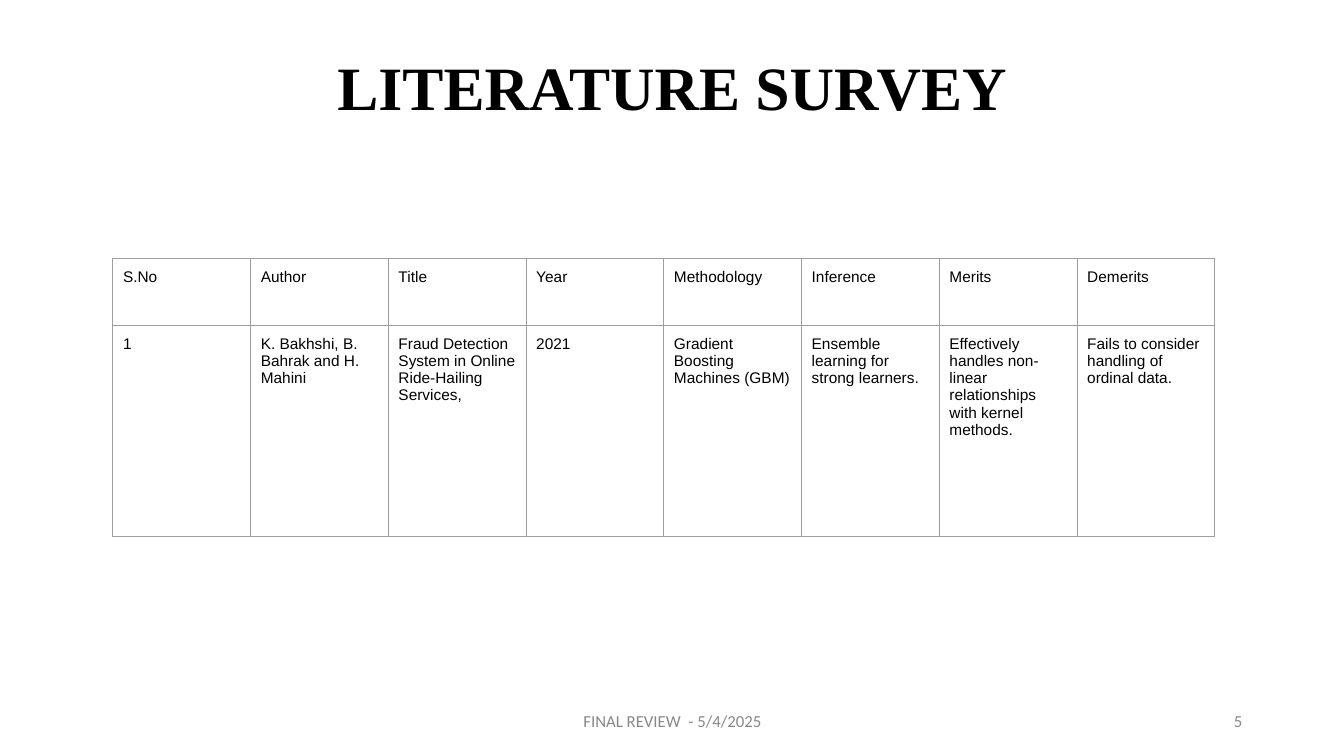
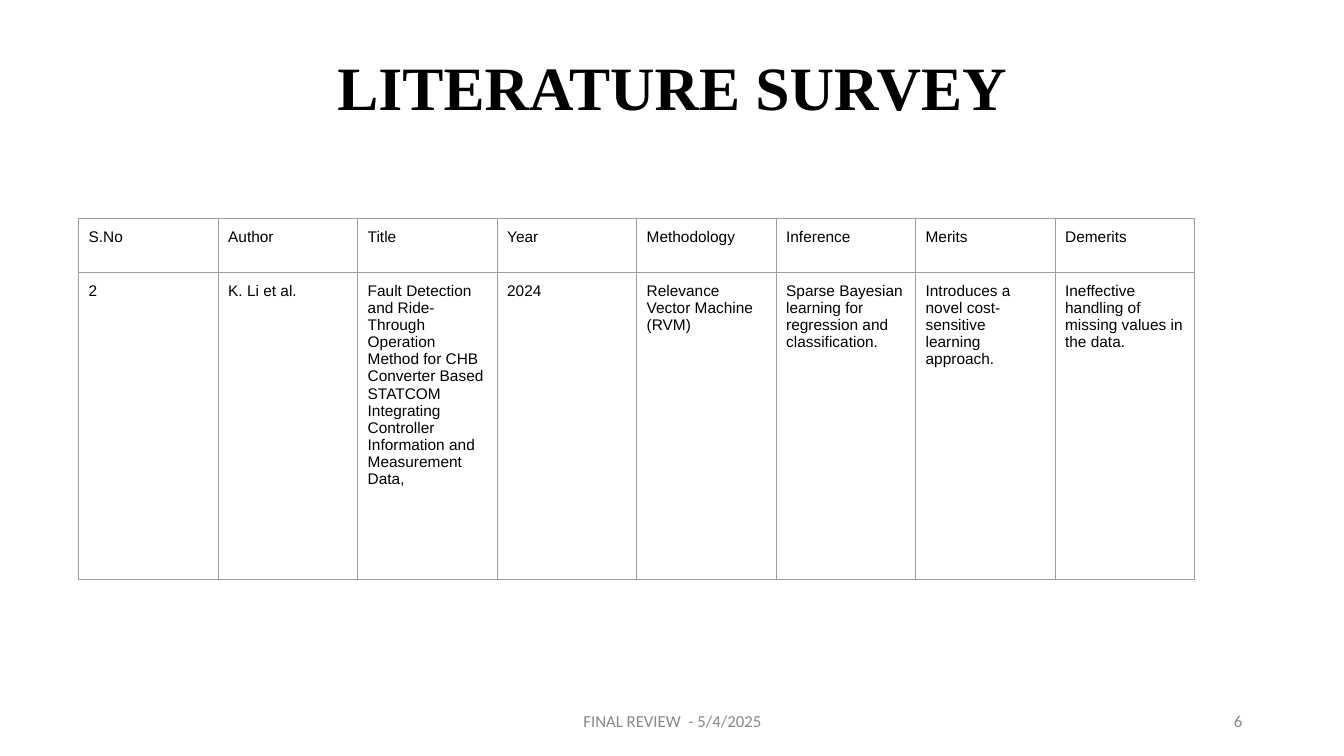
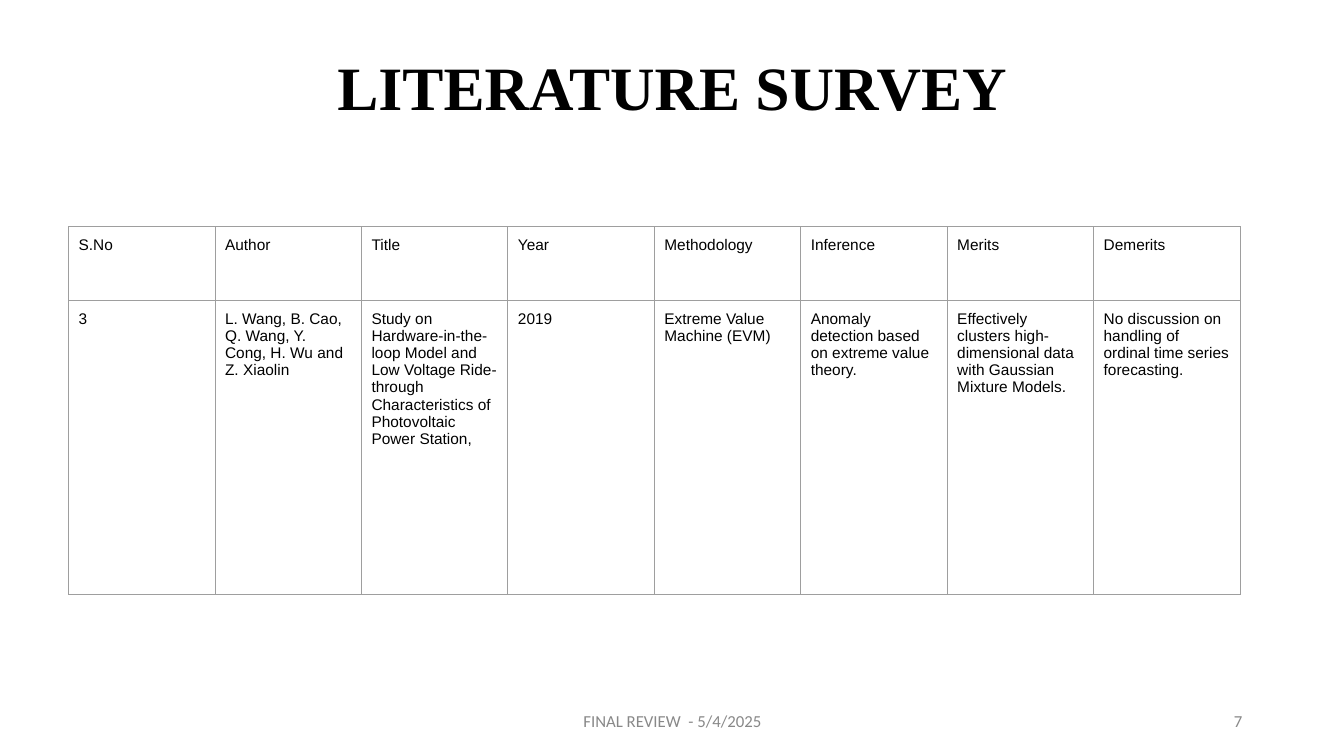
from dataclasses import dataclass

from lxml.etree import SubElement
from pptx import Presentation
from pptx.dml.color import RGBColor
from pptx.enum.text import MSO_ANCHOR, MSO_AUTO_SIZE, PP_ALIGN
from pptx.oxml.ns import qn
from pptx.util import Inches, Pt

# Content
TITLE = "LITERATURE SURVEY"
FOOTER = "FINAL REVIEW  - 5/4/2025"
FIRST_NUMBER = 5
HEADERS = ("S.No", "Author", "Title", "Year", "Methodology", "Inference",
           "Merits", "Demerits")

# One paper per slide; box is left, top, width; heights are header and body rows
PAPERS = [
    {"box": (1.12, 2.56, 10.93), "heights": (0.67, 2.09), "row": (
        "1", "K. Bakhshi, B. Bahrak and H. Mahini",
        "Fraud Detection System in Online Ride-Hailing Services,", "2021",
        "Gradient Boosting Machines (GBM)",
        "Ensemble learning for strong learners.",
        "Effectively handles non-linear relationships with kernel methods.",
        "Fails to consider handling of ordinal data.")},
    {"box": (0.78, 2.17, 11.07), "heights": (0.53, 3.05), "row": (
        "2", "K. Li et al.",
        "Fault Detection and Ride-Through Operation Method for CHB Converter "
        "Based STATCOM Integrating Controller Information and Measurement Data,",
        "2024", "Relevance Vector Machine (RVM)",
        "Sparse Bayesian learning for regression and classification.",
        "Introduces a novel cost-sensitive learning approach.",
        "Ineffective handling of missing values in the data.")},
    {"box": (0.68, 2.25, 11.62), "heights": (0.73, 2.92), "row": (
        "3", "L. Wang, B. Cao, Q. Wang, Y. Cong, H. Wu and Z. Xiaolin",
        "Study on Hardware-in-the-loop Model and Low Voltage Ride-through "
        "Characteristics of Photovoltaic Power Station,", "2019",
        "Extreme Value Machine (EVM)",
        "Anomaly detection based on extreme value theory.",
        "Effectively clusters high-dimensional data with Gaussian Mixture Models.",
        "No discussion on handling of ordinal time series forecasting.")},
]


@dataclass(frozen=True)
class Style:
    font: str
    size: float
    color: str
    bold: bool = False


@dataclass(frozen=True)
class Theme:
    title: Style = Style("Times New Roman", 44, "000000", True)
    footer: Style = Style("Calibri", 12, "888888")
    cell: Style = Style("Arial", 11, "000000")
    border: str = "9E9E9E"
    border_width: float = 0.75
    cell_margin: float = 0.1


THEME = Theme()


def write(tf, text, style, align=PP_ALIGN.LEFT):
    tf.text = text
    p = tf.paragraphs[0]
    p.alignment = align
    font = p.runs[0].font
    font.name, font.size, font.bold = style.font, Pt(style.size), style.bold
    font.color.rgb = RGBColor.from_string(style.color)
    return p


def place_title(s):
    sp = s.shapes.title
    sp.left, sp.top = Inches(0.92), Inches(0.4)
    sp.width, sp.height = Inches(11.5), Inches(1)
    tf = sp.text_frame
    tf.auto_size = MSO_AUTO_SIZE.NONE
    tf.vertical_anchor = MSO_ANCHOR.MIDDLE
    write(tf, TITLE, THEME.title, PP_ALIGN.CENTER).line_spacing = 0.9


def add_footer_text(s, left, width, text, align):
    sp = s.shapes.add_textbox(Inches(left), Inches(6.95), Inches(width), Inches(0.4))
    tf = sp.text_frame
    tf.word_wrap = True
    tf.vertical_anchor = MSO_ANCHOR.MIDDLE
    return write(tf, text, THEME.footer, align)


def outline(cell):
    tc_pr = cell._tc.get_or_add_tcPr()
    for side in ("a:lnL", "a:lnR", "a:lnT", "a:lnB"):
        ln = SubElement(tc_pr, qn(side), w=str(Pt(THEME.border_width)))
        fill = SubElement(ln, qn("a:solidFill"))
        SubElement(fill, qn("a:srgbClr"), val=THEME.border)


def add_paper_table(s, paper):
    left, top, width = map(Inches, paper["box"])
    heights = [Inches(h) for h in paper["heights"]]
    rows = (HEADERS, paper["row"])
    table = s.shapes.add_table(len(rows), len(HEADERS), left, top, width,
                               sum(heights)).table
    table.first_row = table.horz_banding = False
    for column in table.columns:
        column.width = width // len(HEADERS)
    for r, (height, texts) in enumerate(zip(heights, rows)):
        table.rows[r].height = height
        for c, text in enumerate(texts):
            cell = table.cell(r, c)
            margin = Inches(THEME.cell_margin)
            cell.margin_left = cell.margin_right = margin
            cell.margin_top = cell.margin_bottom = margin
            write(cell.text_frame, text, THEME.cell)
            outline(cell)
            cell.fill.background()


def main():
    prs = Presentation()
    prs.slide_width, prs.slide_height = Inches(13.33), Inches(7.5)
    for number, paper in enumerate(PAPERS, FIRST_NUMBER):
        s = prs.slides.add_slide(prs.slide_layouts[5])
        place_title(s)
        p = add_footer_text(s, 4.42, 4.5, FOOTER, PP_ALIGN.CENTER)
        p.space_before = Pt(1)
        add_footer_text(s, 9.42, 3, str(number), PP_ALIGN.RIGHT)
        add_paper_table(s, paper)
    prs.save("out.pptx")


if __name__ == "__main__":
    main()
